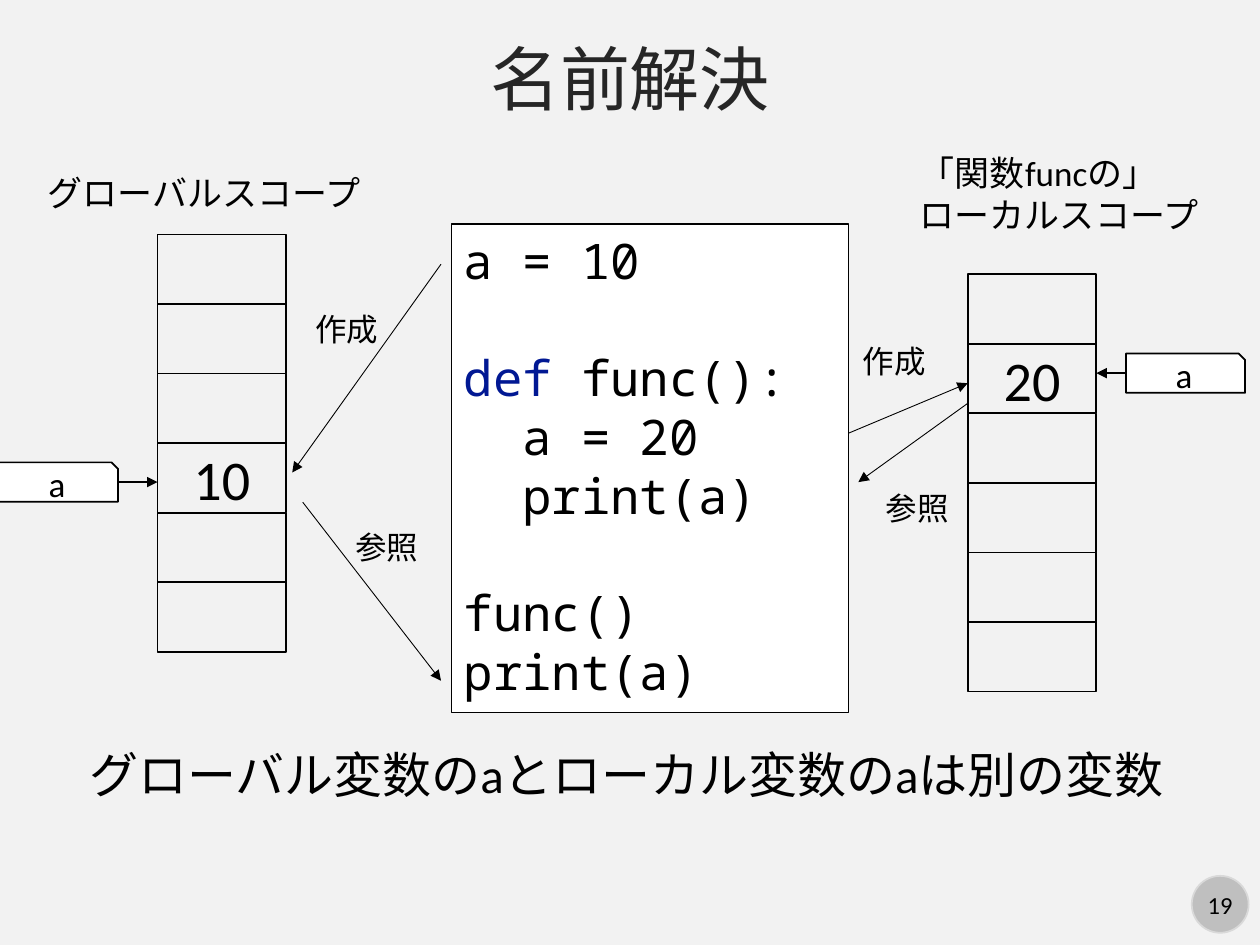
"""Builds the slide on name resolution in global and local scopes."""
from lxml import etree
from pptx import Presentation
from pptx.dml.color import RGBColor
from pptx.enum.shapes import MSO_CONNECTOR as Connector, MSO_SHAPE as Shape
from pptx.enum.text import MSO_ANCHOR as Anchor, MSO_AUTO_SIZE as AutoSize, PP_ALIGN as Align
from pptx.oxml.ns import qn
from pptx.util import Pt

BLACK = RGBColor(0x00, 0x00, 0x00)
WHITE = RGBColor(0xFF, 0xFF, 0xFF)
BACKGROUND = RGBColor(0xF2, 0xF2, 0xF2)
TITLE_GREY = RGBColor(0x26, 0x26, 0x26)
BADGE_FILL = RGBColor(0xBF, 0xBF, 0xBF)
BADGE_LINE = RGBColor(0xD9, 0xD9, 0xD9)
KEYWORD_BLUE = RGBColor(0x01, 0x18, 0x93)

CELL_WIDTH, CELL_HEIGHT, CELL_COUNT = 73.5, 39.75, 6
TAG_WIDTH, TAG_HEIGHT = 68, 22.5
CODE_LINE = 33.5


def write_text(paragraph, text, size=20, color=BLACK, font="Calibri",
               alignment=Align.LEFT, space_before=0):
    paragraph.alignment = alignment
    if space_before:
        paragraph.space_before = Pt(space_before)
    run = paragraph.add_run()
    run.text = text
    run.font.size = Pt(size)
    run.font.name = font
    run.font.color.rgb = color


class SlideBuilder:
    def __init__(self, presentation):
        self.slide = presentation.slides.add_slide(presentation.slide_layouts[5])
        background = self.slide.background.fill
        background.solid()
        background.fore_color.rgb = BACKGROUND

    def title(self, text, left, top, width, height):
        title = self.slide.shapes.title
        title.left, title.top, title.width, title.height = map(Pt, (left, top, width, height))
        frame = title.text_frame
        frame.auto_size = AutoSize.NONE
        frame.vertical_anchor = Anchor.MIDDLE
        write_text(frame.paragraphs[0], text, size=40, color=TITLE_GREY, alignment=Align.CENTER)

    def label(self, lines, left, top, width, height, size=20, wrap=False):
        box = self.slide.shapes.add_textbox(*map(Pt, (left, top, width, height)))
        frame = box.text_frame
        frame.word_wrap = wrap
        frame.auto_size = AutoSize.SHAPE_TO_FIT_TEXT
        for index, line in enumerate(lines):
            paragraph = frame.add_paragraph() if index else frame.paragraphs[0]
            write_text(paragraph, line, size=size)

    def shape(self, kind, left, top, width, height, text="", size=20,
              fill=None, line=BLACK, line_width=1):
        shape = self.slide.shapes.add_shape(kind, *map(Pt, (left, top, width, height)))
        shape.shadow.inherit = False
        if fill is None:
            shape.fill.background()
        else:
            shape.fill.solid()
            shape.fill.fore_color.rgb = fill
        shape.line.color.rgb = line
        shape.line.width = Pt(line_width)
        shape.text_frame.vertical_anchor = Anchor.MIDDLE
        if text:
            write_text(shape.text_frame.paragraphs[0], text, size=size, alignment=Align.CENTER)
        return shape

    def memory(self, left, top, value, value_row):
        for row in range(CELL_COUNT):
            self.shape(Shape.RECTANGLE, left, top + row * CELL_HEIGHT, CELL_WIDTH, CELL_HEIGHT,
                       text=value if row == value_row else "", size=32)

    def tag(self, text, left, top):
        return self.shape(Shape.SNIP_1_RECTANGLE, left, top, TAG_WIDTH, TAG_HEIGHT,
                          text=text, fill=WHITE)

    def page_number(self, text, left, top, diameter):
        badge = self.shape(Shape.OVAL, left, top, diameter, diameter, text=text, size=14,
                           fill=BADGE_FILL, line=BADGE_LINE)
        frame = badge.text_frame
        frame.word_wrap = False
        frame.margin_left = frame.margin_right = frame.margin_top = frame.margin_bottom = 0

    def code(self, lines, left, top, width, height):
        box = self.shape(Shape.RECTANGLE, left, top, width, height, fill=WHITE, line_width=0.75)
        frame = box.text_frame
        frame.word_wrap = True
        frame.vertical_anchor = Anchor.TOP
        for index, (runs, blank_before) in enumerate(lines):
            paragraph = frame.add_paragraph() if index else frame.paragraphs[0]
            for text, color in runs:
                write_text(paragraph, text, size=28, color=color, font="Noto Sans Mono",
                           space_before=CODE_LINE if blank_before else 0)

    def arrow(self, start, end, width=0.5, start_shape=None, start_site=None):
        arrow = self.slide.shapes.add_connector(Connector.STRAIGHT, *map(Pt, start + end))
        if start_shape is not None:
            arrow.begin_connect(start_shape, start_site)
        arrow.line.color.rgb = BLACK
        arrow.line.width = Pt(width)
        etree.SubElement(arrow.line._get_or_add_ln(), qn("a:tailEnd"), type="triangle")
        etree.SubElement(arrow._element.spPr, qn("a:effectLst"))


def main():
    presentation = Presentation()
    presentation.slide_width, presentation.slide_height = Pt(720), Pt(540)
    builder = SlideBuilder(presentation)
    builder.page_number("19", 681, 500.5, 32.5)
    builder.title("名前解決", 0, 15, 720, 59)

    builder.memory(90, 134, "10", 3)
    builder.label(["グローバルスコープ"], 20, 94.5, 196.5, 31.5)
    global_tag = builder.tag("a", -0.5, 264.25)
    builder.arrow((67.5, 275.5), (90, 275.5), 1, global_tag, 3)

    builder.code([
        ([("a = 10", BLACK)], False),
        ([("def", KEYWORD_BLUE), (" func():", BLACK)], True),
        ([("  a = 20", BLACK)], False),
        ([("  print(a)", BLACK)], False),
        ([("func()", BLACK)], True),
        ([("print(a)", BLACK)], False),
    ], 258, 128, 227, 279)

    builder.memory(553, 156.75, "20", 1)
    builder.label(["「関数funcの」", "ローカルスコープ"], 518.5, 83, 176.5, 55.5)
    local_tag = builder.tag("a", 643.5, 202)
    builder.arrow((643.5, 213.25), (626.5, 213.25), 1, local_tag, 1)

    for start, end in (
        ((252, 151), (167, 270)),
        ((173, 287), (252, 389)),
        ((485, 247.5), (553, 219)),
        ((553, 230.5), (490.5, 275.5)),
    ):
        builder.arrow(start, end)
    for text, left, top in (
        ("作成", 173, 173.5),
        ("参照", 196, 298),
        ("作成", 486, 192),
        ("参照", 499, 276),
    ):
        builder.label([text], left, top, 51, 29, size=18)
    builder.label(["グローバル変数のaとローカル変数のaは別の変数"], 44, 422, 632, 41,
                  size=28, wrap=True)

    presentation.save("out.pptx")


if __name__ == "__main__":
    main()
